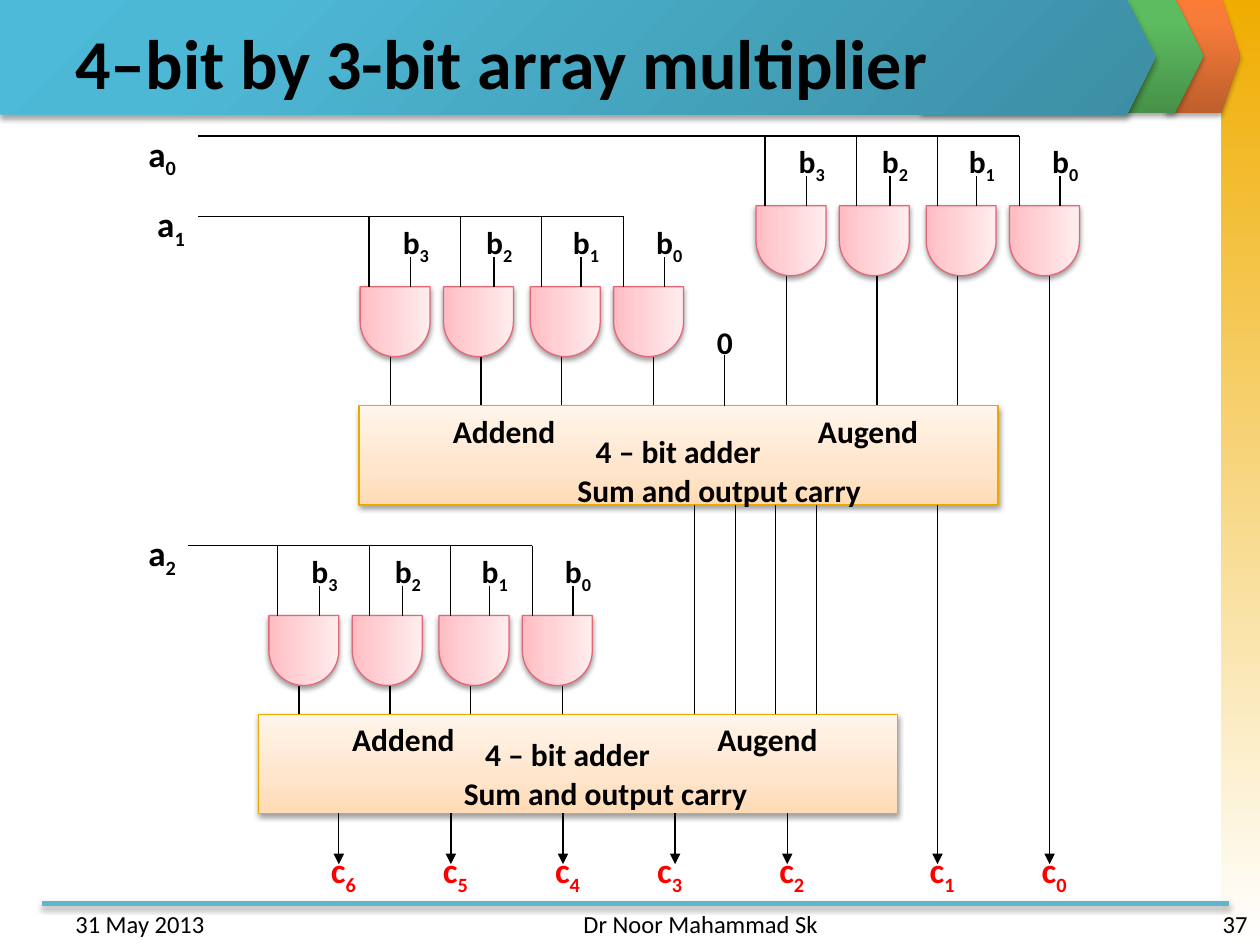
from dataclasses import dataclass

from pptx import Presentation
from pptx.dml.color import RGBColor
from pptx.enum.shapes import MSO_CONNECTOR, MSO_SHAPE
from pptx.enum.text import MSO_ANCHOR, PP_ALIGN
from pptx.oxml import parse_xml
from pptx.oxml.ns import nsdecls, qn
from pptx.util import Cm, Pt

LEFT, CENTER, RIGHT = PP_ALIGN.LEFT, PP_ALIGN.CENTER, PP_ALIGN.RIGHT
TOP, MIDDLE = MSO_ANCHOR.TOP, MSO_ANCHOR.MIDDLE
RECT, PENTAGON, DELAY = MSO_SHAPE.RECTANGLE, MSO_SHAPE.PENTAGON, MSO_SHAPE.FLOWCHART_DELAY
STRAIGHT = MSO_CONNECTOR.STRAIGHT


@dataclass(frozen=True)
class Theme:
    font: str = "Calibri"
    ink: str = "000000"
    result: str = "FF0000"
    rule: str = "60B5CC"
    gate_line: str = "E46778"
    adder_line: str = "EBA900"
    side: tuple = ((0, "F0AD00"), (100, "FFFFFF"))
    orange: tuple = ((0, "BE5F2C"), (80, "F77B39"), (100, "FC7B35"))
    green: tuple = ((0, "479149"), (80, "5DBC5F"), (100, "5BBF5E"))
    blue: tuple = ((0, "3C8EA4"), (80, "4DB8D5"), (100, "4BBBD9"))
    gate: tuple = ((0, "FFBCC2"), (35, "FFCFD3"), (100, "FFEDEE"))
    adder: tuple = ((0, "FFDBB5"), (35, "FFE5CB"), (100, "FFF5EB"))
    title: int = 40
    signal: int = 20
    label: int = 18
    footer: int = 14
    wire: float = 0.75


T = Theme()
SLIDE_W, SLIDE_H = 25.4, 19.05
GATE = 1.41
GATE_XS = (0, 1.68, 3.43, 5.11)
BUS_XS = (0.18, 2.03, 3.66, 5.31)
OUT_XS = (0.61, 2.44, 4.06, 5.92)
GATE_BOTTOM = 2 * GATE
ADDER_W, ADDER_H = 12.88, 2.0
ARROW_END = 17.42


def add_text(slide, text, x, y, w, h, size=T.label, color=T.ink, bold=True,
             align=LEFT, anchor=TOP, wrap=True, sub=""):
    tf = slide.shapes.add_textbox(Cm(x), Cm(y), Cm(w), Cm(h)).text_frame
    tf.word_wrap = wrap
    tf.vertical_anchor = anchor
    p = tf.paragraphs[0]
    p.alignment = align
    for part in filter(None, (text, sub)):
        r = p.add_run()
        r.text = part
        r.font.name = T.font
        r.font.size = Pt(size)
        r.font.bold = bold
        r.font.color.rgb = RGBColor.from_string(color)
    if sub:
        r._r.get_or_add_rPr().set("baseline", "-25000")


def add_shadow(s, alpha=35, dist=1.8):
    spPr = s._element.spPr
    for old in spPr.findall(qn("a:effectLst")):
        spPr.remove(old)
    spPr.append(parse_xml(
        f'<a:effectLst {nsdecls("a")}><a:outerShdw blurRad="{Pt(3.1)}" dist="{Pt(dist)}" '
        f'dir="5400000" rotWithShape="0"><a:srgbClr val="{T.ink}">'
        f'<a:alpha val="{alpha * 1000}"/></a:srgbClr></a:outerShdw></a:effectLst>'))


def add_block(slide, kind, x, y, w, h, stops, angle=270, radial=False, line=None):
    s = slide.shapes.add_shape(kind, Cm(x), Cm(y), Cm(w), Cm(h))
    s.shadow.inherit = False
    s.fill.background()
    shade = f'<a:lin ang="{angle * 60000}" scaled="0"/>'
    if radial:
        shade = '<a:path path="circle"><a:fillToRect l="100000" t="100000"/></a:path>'
    colors = "".join(f'<a:gs pos="{pos * 1000}"><a:srgbClr val="{c}"/></a:gs>'
                     for pos, c in stops)
    spPr = s._element.spPr
    spPr.replace(spPr.find(qn("a:noFill")), parse_xml(
        f'<a:gradFill {nsdecls("a")} rotWithShape="1"><a:gsLst>{colors}</a:gsLst>'
        f'{shade}</a:gradFill>'))
    if line:
        s.line.color.rgb = RGBColor.from_string(line)
        s.line.width = Pt(T.wire)
    else:
        s.line.fill.background()
    return s


def add_line(slide, x1, y1, x2, y2, color=T.ink, width=T.wire, arrow=False):
    c = slide.shapes.add_connector(STRAIGHT, Cm(x1), Cm(y1), Cm(x2), Cm(y2))
    c.line.color.rgb = RGBColor.from_string(color)
    c.line.width = Pt(width)
    spPr = c._element.spPr
    if arrow:
        spPr.find(qn("a:ln")).append(parse_xml(f'<a:tailEnd {nsdecls("a")} type="triangle"/>'))
    spPr.append(parse_xml(f'<a:effectLst {nsdecls("a")}/>'))
    return c


def add_frame(slide, x, y, w, h):
    add_block(slide, RECT, x + w - 0.79, y, 0.79, h, T.side, angle=90)
    for left, width, stops in ((23.5, 1.5, T.orange), (18.57, 5.69, T.green)):
        s = add_block(slide, PENTAGON, x + left, y - 0.03, width, 2.31, stops)
        s.adjustments[0] = 0.25
        add_shadow(s)
    add_shadow(add_line(slide, x + 0.84, y + 18.21, x + 24.77, y + 18.21, T.rule, 3))
    s = add_block(slide, PENTAGON, x, y, 23.29, 2.31, T.blue, radial=True)
    s.adjustments[0] = 0.25
    add_shadow(s)
    add_text(slide, "4–bit by 3-bit array multiplier", x + 1.27, y + 0.36, 22.86, 1.75,
             size=T.title, anchor=MIDDLE)
    for text, left, width, align in (("31 May 2013", 1.27, 5.92, LEFT),
                                     ("Dr Noor Mahammad Sk", 8.69, 8.05, RIGHT),
                                     ("37", 19.48, 5.92, RIGHT)):
        add_text(slide, text, x + left, y + 18.21, width, 0.64,
                 size=T.footer, bold=False, align=align)


def add_gate_row(slide, x, y, bus_left, out_ends):
    add_line(slide, x + BUS_XS[-1], y, bus_left, y)
    for i, (gate_x, bus_x, out_x, end) in enumerate(zip(GATE_XS, BUS_XS, OUT_XS, out_ends)):
        s = add_block(slide, DELAY, x + gate_x, y + GATE, GATE, GATE, T.gate, line=T.gate_line)
        s.rotation = 90
        add_shadow(s, 38, 1.6)
        add_line(slide, x + gate_x + 1.02, y + 0.81, x + gate_x + 1.02, y + GATE)
        add_text(slide, "b", x + gate_x + 0.61, y, 1.22, 1.02, sub=str(3 - i))
        add_line(slide, x + bus_x, y + GATE, x + bus_x, y)
        add_line(slide, x + out_x, y + GATE_BOTTOM, x + out_x, end, arrow=end == ARROW_END)


def add_adder(slide, x, y, name_at, sum_at, sum_w, sum_align):
    s = add_block(slide, RECT, x, y, ADDER_W, ADDER_H, T.adder, line=T.adder_line)
    add_shadow(s, 38, 1.6)
    add_text(slide, "Addend", x + 1.64, y, 2.59, 1.02, wrap=False)
    add_text(slide, "Augend", x + 9.0, y, 2.54, 1.02, wrap=False)
    add_text(slide, "4 – bit adder", x + name_at[0], y + name_at[1], 4.9, 1.02)
    add_text(slide, "Sum and output carry", x + sum_at[0], y + sum_at[1], sum_w, 1.02,
             align=sum_align)


def add_results(slide, x, y):
    label_dx = (-0.41, -0.41, -0.41, -0.61, -0.41, -0.41, -0.41)
    columns = [2.26 * i for i in range(5)] + [12.07, 14.33]
    for i, (column, dx) in enumerate(zip(columns, label_dx)):
        add_text(slide, "c", x + column + dx, y, 1.22, 1.12,
                 size=T.signal, color=T.result, sub=str(6 - i))


def main():
    prs = Presentation()
    prs.slide_width, prs.slide_height = Cm(SLIDE_W), Cm(SLIDE_H)
    slide = prs.slides.add_slide(prs.slide_layouts[6])
    add_frame(slide, 0, 0, SLIDE_W, SLIDE_H)

    upper_x, upper_y = 7.24, 8.18
    lower_x, lower_y = 5.21, 14.4
    add_gate_row(slide, 15.24, 2.74, 3.99, [upper_y] * 3 + [ARROW_END])
    add_gate_row(slide, 7.26, 4.37, 3.99, [upper_y] * 4)
    add_gate_row(slide, 5.42, 11.0, 3.78, [lower_y] * 4)
    for i, (x, y) in enumerate(((2.74, 2.54), (2.92, 3.96), (2.74, 10.59))):
        add_text(slide, "a", x, y, 1.4, 1.12, size=T.signal, sub=str(i))

    add_adder(slide, upper_x, upper_y, (4.52, 0.41), (3.68, 1.19), 7.16, CENTER)
    add_adder(slide, lower_x, lower_y, (4.32, 0.3), (3.89, 1.07), 8.59, LEFT)
    add_text(slide, "0", 14.2, 6.38, 0.84, 1.02, wrap=False)
    add_line(slide, 14.61, upper_y, 14.61, 7.16)

    for i in range(4):
        x = 14.0 + 0.82 * i
        add_line(slide, x, upper_y + ADDER_H, x, lower_y)
    add_line(slide, 18.9, upper_y + ADDER_H, 18.9, ARROW_END, arrow=True)
    for i in range(5):
        x = 6.83 + 2.26 * i
        add_line(slide, x, lower_y + ADDER_H, x, ARROW_END, arrow=True)
    add_results(slide, 6.83, 16.99)
    prs.save("out.pptx")


if __name__ == "__main__":
    main()
